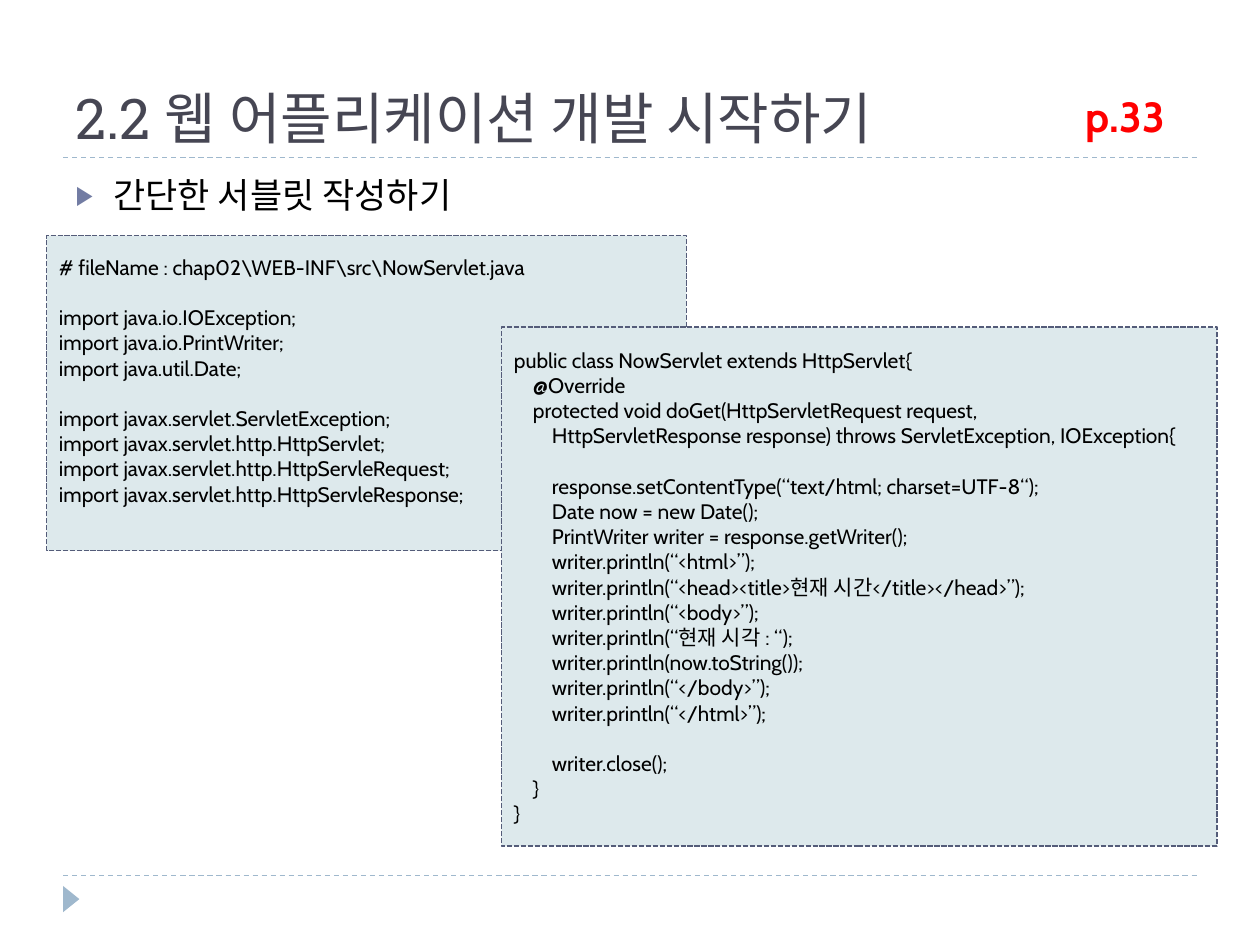
"""Build the slide on writing a simple servlet."""
import pptx
import pptx.dml.color
import pptx.enum.dml
import pptx.enum.shapes
import pptx.enum.text
import pptx.oxml
import pptx.oxml.ns
import pptx.util
from pptx.util import Cm

IMPORTS = r"""# fileName : chap02\WEB-INF\src\NowServlet.java

import java.io.IOException;
import java.io.PrintWriter;
import java.util.Date;

import javax.servlet.ServletException;
import javax.servlet.http.HttpServlet;
import javax.servlet.http.HttpServleRequest;
import javax.servlet.http.HttpServleResponse;"""

SERVLET = """public class NowServlet extends HttpServlet{
    @Override
    protected void doGet(HttpServletRequest request,
        HttpServletResponse response) throws ServletException, IOException{

        response.setContentType(“text/html; charset=UTF-8“);
        Date now = new Date();
        PrintWriter writer = response.getWriter();
        writer.println(“<html>”);
        writer.println(“<head><title>현재 시간</title></head>”);
        writer.println(“<body>”);
        writer.println(“현재 시각 : “);
        writer.println(now.toString());
        writer.println(“</body>”);
        writer.println(“</html>”);

        writer.close();
    }
}"""


def rgb(value):
    return pptx.dml.color.RGBColor.from_string(value)


class Deck:
    font, head_font = "Cabin", "Roboto Slab"
    ink, head_ink, red = "000000", "464653", "FF0000"
    accent, bullet_ink, panel, border = "9FB8CD", "727CA3", "DDE9EC", "545C79"
    code_size, code_line, code_indent = 12, 14.4, 0.096

    def __init__(self):
        self.prs = pptx.Presentation()
        self.prs.slide_width, self.prs.slide_height = Cm(25.4), Cm(19.05)
        self.s = self.prs.slides.add_slide(self.prs.slide_layouts[1])

    def place(self, sp, box):
        sp.left, sp.top, sp.width, sp.height = (Cm(v) for v in box)

    def style(self, p, size, color, font=None, bold=False):
        p.alignment = pptx.enum.text.PP_ALIGN.LEFT
        for r in p.runs:
            r.font.name = font or self.font
            r.font.size = pptx.util.Pt(size)
            r.font.bold = bold
            r.font.color.rgb = rgb(color)

    def title(self, text, box):
        sp = self.s.shapes.title
        self.place(sp, box)
        tf = sp.text_frame
        tf.text = text
        tf.auto_size = pptx.enum.text.MSO_AUTO_SIZE.NONE
        tf.vertical_anchor = pptx.enum.text.MSO_ANCHOR.BOTTOM
        self.style(tf.paragraphs[0], 32, self.head_ink, self.head_font)

    def bullets(self, items, box):
        sp = self.s.placeholders[1]
        self.place(sp, box)
        tf = sp.text_frame
        tf.text = "\n".join(items)
        tf.auto_size = pptx.enum.text.MSO_AUTO_SIZE.NONE
        ns = pptx.oxml.ns.nsdecls("a")
        for p in tf.paragraphs:
            self.style(p, 20, self.ink)
            p.space_before = pptx.util.Pt(6)
            pPr = p._p.get_or_add_pPr()
            pPr.set("marL", str(Cm(0.76)))
            pPr.set("indent", str(-Cm(0.76)))
            for xml in (f'<a:buClr {ns}><a:srgbClr val="{self.bullet_ink}"/></a:buClr>',
                        f'<a:buSzPct {ns} val="76000"/>',
                        f'<a:buChar {ns} char="▶"/>'):
                pPr.append(pptx.oxml.parse_xml(xml))

    def rule(self, left, right, y):
        c = self.s.shapes.add_connector(
            pptx.enum.shapes.MSO_CONNECTOR.STRAIGHT, Cm(left), Cm(y), Cm(right), Cm(y))
        c.line.color.rgb = rgb(self.accent)
        c.line.width = pptx.util.Pt(0.75)
        c.line.dash_style = pptx.enum.dml.MSO_LINE.DASH
        c._element.spPr.append(
            pptx.oxml.parse_xml(f'<a:effectLst {pptx.oxml.ns.nsdecls("a")}/>'))

    def shape(self, kind, box, fill):
        sp = self.s.shapes.add_shape(kind, *(Cm(v) for v in box))
        sp.shadow.inherit = False
        sp.fill.solid()
        sp.fill.fore_color.rgb = rgb(fill)
        return sp

    def marker(self, box):
        sp = self.shape(pptx.enum.shapes.MSO_SHAPE.ISOSCELES_TRIANGLE, box, self.accent)
        sp.rotation = 90
        sp.line.fill.background()

    def code(self, source, box, bottom=0.13):
        sp = self.shape(pptx.enum.shapes.MSO_SHAPE.RECTANGLE, box, self.panel)
        sp.line.color.rgb = rgb(self.border)
        sp.line.width = pptx.util.Pt(1)
        sp.line.dash_style = pptx.enum.dml.MSO_LINE.SQUARE_DOT
        tf = sp.text_frame
        tf.word_wrap = True
        tf.vertical_anchor = pptx.enum.text.MSO_ANCHOR.MIDDLE
        tf.margin_bottom = Cm(bottom)
        p, gap = tf.paragraphs[0], 0
        for line in source.splitlines():
            if not line:
                gap = self.code_line
                continue
            if p.text:
                p = tf.add_paragraph()
            p.text = line.lstrip()
            self.style(p, self.code_size, self.ink)
            p.space_before = pptx.util.Pt(gap)
            depth = len(line) - len(p.text)
            p._p.get_or_add_pPr().set("marL", str(Cm(depth * self.code_indent)))
            gap = 0

    def label(self, text, box):
        tf = self.s.shapes.add_textbox(*(Cm(v) for v in box)).text_frame
        tf.word_wrap = True
        tf.auto_size = pptx.enum.text.MSO_AUTO_SIZE.SHAPE_TO_FIT_TEXT
        tf.text = text
        self.style(tf.paragraphs[0], 24, self.red, bold=True)


def main():
    deck = Deck()
    for y in (17.65, 3.18):
        deck.rule(1.27, 24.13, y)
    deck.marker((1.17, 17.96, 0.53, 0.33))
    deck.title("2.2 웹 어플리케이션 개발 시작하기", (1.27, 0.43, 22.86, 2.74))
    deck.bullets(["간단한 서블릿 작성하기"], (1.27, 3.38, 22.86, 13.72))
    deck.code(IMPORTS, (0.94, 4.75, 12.9, 6.35), bottom=0.64)
    deck.code(SERVLET, (10.11, 6.6, 14.43, 10.46))
    deck.label("p.33", (21.64, 1.7, 2.59, 1.27))
    deck.prs.save("out.pptx")


if __name__ == "__main__":
    main()
